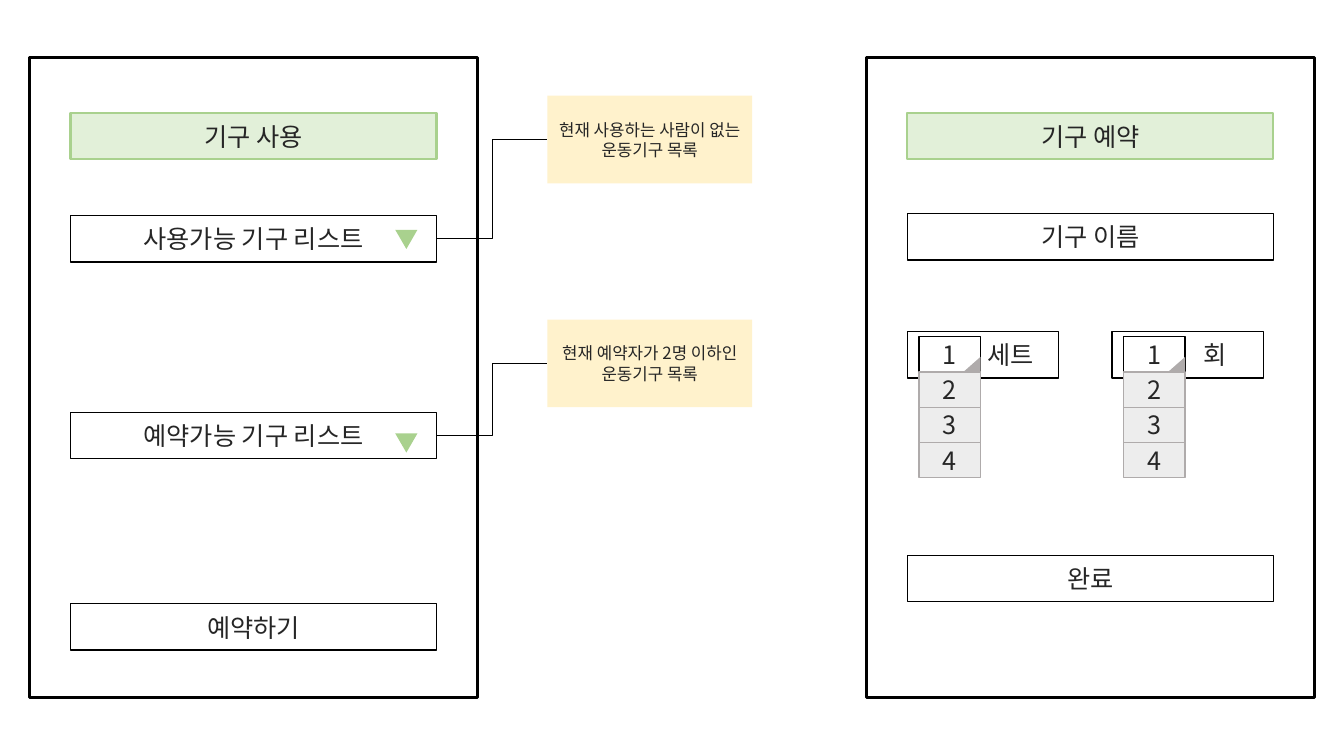
from lxml.etree import SubElement
from pptx import Presentation
from pptx.dml.color import RGBColor
from pptx.enum.shapes import MSO_CONNECTOR, MSO_SHAPE
from pptx.enum.text import MSO_ANCHOR, PP_ALIGN
from pptx.oxml.ns import qn
from pptx.util import Inches, Pt

FONT = "Noto Sans CJK KR"
BLACK, WHITE, INK = "000000", "FFFFFF", "262626"
GREEN, PALE_GREEN, CREAM = "A9D18E", "E2F0D9", "FFF2CC"
GRAY, PALE_GRAY = "AFABAB", "EDEDED"

# Content: panel left edge, title, (label, top) of each box
PANELS = [
    (0.29, "기구 사용", [("사용가능 기구 리스트", 2.14), ("예약가능 기구 리스트", 4.09),
                     ("예약하기", 5.99)]),
    (8.59, "기구 예약", [("기구 이름", 2.12), ("완료", 5.51)]),
]
ARROW_TOPS = [2.28, 4.30]
COUNTERS = [("세트", 9.0), ("회", 11.03)]
CHOICES = ["1", "2", "3", "4"]
# Note text, note top, height of the box middle it explains
NOTES = [("현재 사용하는 사람이 없는 운동기구 목록", 0.95, 2.37),
         ("현재 예약자가 2명 이하인 운동기구 목록", 3.17, 4.32)]

PANEL_TOP, PANEL_WIDTH, PANEL_HEIGHT = 0.57, 4.45, 6.35
BOX_INDENT, BOX_WIDTH, BOX_HEIGHT = 0.41, 3.63, 0.46
COUNTER_TOP, COUNTER_WIDTH = 3.29, 1.5
CHOICE_TOP, CHOICE_WIDTH, CHOICE_HEIGHT = 3.34, 0.61, 0.35
NOTE_LEFT, NOTE_WIDTH, NOTE_HEIGHT = 5.43, 2.03, 0.87

presentation = Presentation()
presentation.slide_width, presentation.slide_height = Inches(13.33), Inches(7.5)
slide = presentation.slides.add_slide(presentation.slide_layouts[6])


def color(value):
    return RGBColor.from_string(value)


def add_part(left, top, width, height, fill=None, line=None, weight=1.0,
             text="", size=18, inset=0.1, kind=MSO_SHAPE.RECTANGLE):
    shape = slide.shapes.add_shape(kind, Inches(left), Inches(top),
                                   Inches(width), Inches(height))
    shape.shadow.inherit = False
    if fill:
        shape.fill.solid()
        shape.fill.fore_color.rgb = color(fill)
    else:
        shape.fill.background()
    if line:
        shape.line.color.rgb = color(line)
        shape.line.width = Pt(weight)
    else:
        shape.line.fill.background()
    if text:
        frame = shape.text_frame
        frame.word_wrap = True
        frame.vertical_anchor = MSO_ANCHOR.MIDDLE
        frame.margin_left = Inches(inset)
        paragraph = frame.paragraphs[0]
        paragraph.alignment = PP_ALIGN.CENTER
        run = paragraph.add_run()
        run.text = text
        run.font.size = Pt(size)
        run.font.name = FONT
        run.font.color.rgb = color(INK)
        SubElement(run.font._element, qn("a:ea"), typeface=FONT)
    return shape


# Panels with their title and boxes
for left, title, boxes in PANELS:
    add_part(left, PANEL_TOP, PANEL_WIDTH, PANEL_HEIGHT, line=BLACK, weight=2.25)
    box_left = left + BOX_INDENT
    add_part(box_left, 1.12, BOX_WIDTH, BOX_HEIGHT, PALE_GREEN, GREEN, 1.5, title)
    for label, top in boxes:
        add_part(box_left, top, BOX_WIDTH, BOX_HEIGHT, WHITE, BLACK, text=label)

# Drop-down arrows
for top in ARROW_TOPS:
    arrow = add_part(3.92, top, 0.22, 0.19, GREEN, kind=MSO_SHAPE.ISOSCELES_TRIANGLE)
    arrow.rotation = 180

# Counters with an open list of choices
for unit, left in COUNTERS:
    add_part(left, COUNTER_TOP, COUNTER_WIDTH, BOX_HEIGHT, WHITE, BLACK,
             text=unit, inset=0.64)
    choice_left = left + 0.115
    for index, choice in enumerate(CHOICES):
        fill, line = (PALE_GRAY, GRAY) if index else (WHITE, BLACK)
        add_part(choice_left, CHOICE_TOP + index * CHOICE_HEIGHT, CHOICE_WIDTH,
                 CHOICE_HEIGHT, fill, line, text=choice)
    corner = add_part(choice_left + 0.44, 3.54, 0.17, 0.15, GRAY,
                      kind=MSO_SHAPE.ISOSCELES_TRIANGLE)
    corner.adjustments[0] = 1

# Notes and the lines that tie them to the lists
for text, top, box_middle in NOTES:
    add_part(NOTE_LEFT, top, NOTE_WIDTH, NOTE_HEIGHT, CREAM, text=text, size=12)
    connector = slide.shapes.add_connector(
        MSO_CONNECTOR.ELBOW, Inches(4.33), Inches(box_middle),
        Inches(NOTE_LEFT), Inches(top + NOTE_HEIGHT / 2))
    connector.line.color.rgb = color(BLACK)
    connector.line.width = Pt(0.5)
    SubElement(connector._element.spPr, qn("a:effectLst"))

presentation.save("out.pptx")
